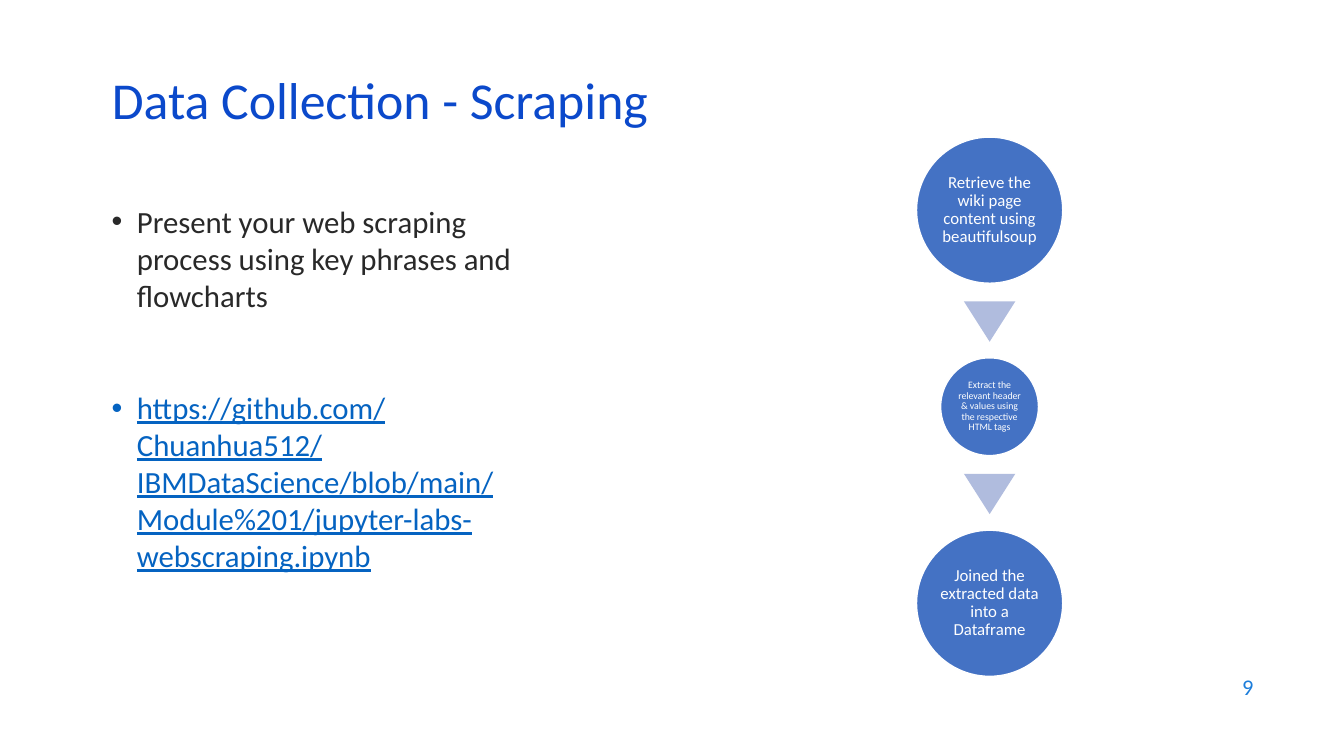
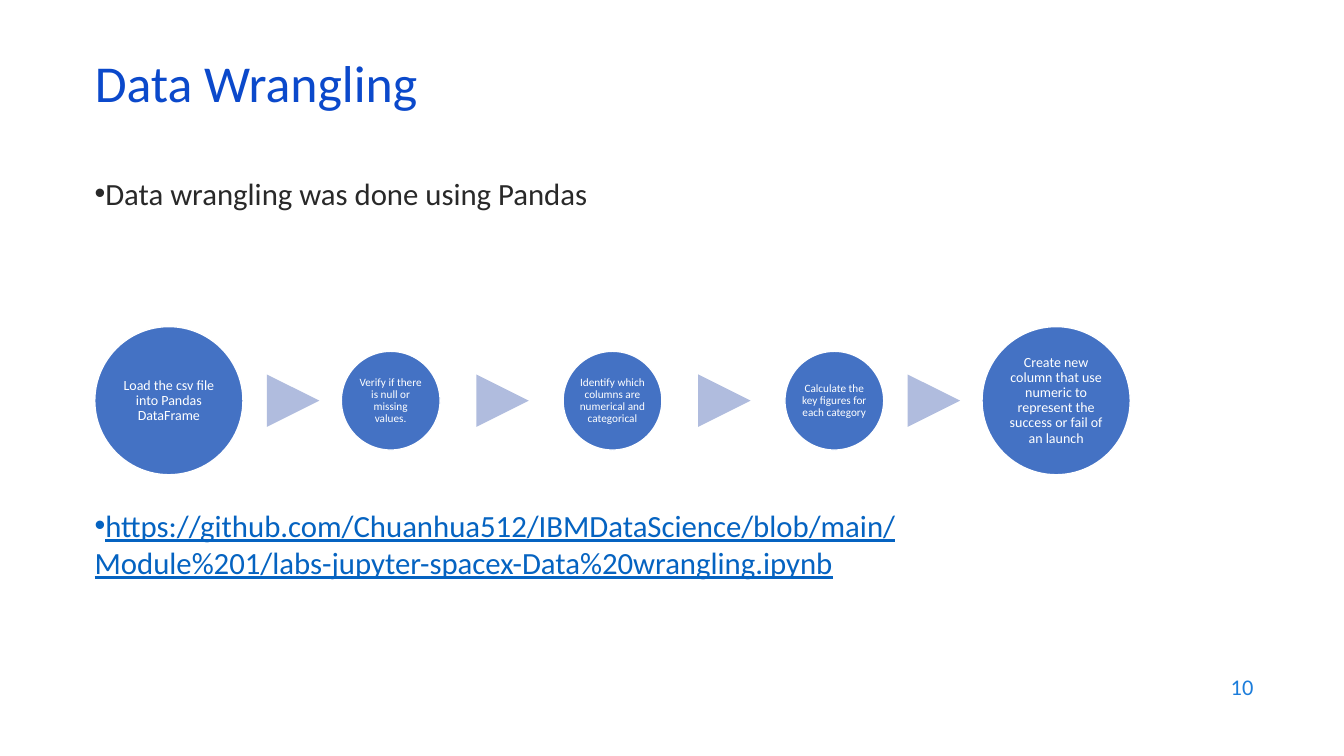
from collections import namedtuple

from lxml.etree import SubElement
from pptx import Presentation
from pptx.dml.color import RGBColor
from pptx.enum.shapes import MSO_SHAPE as Shape
from pptx.enum.text import MSO_ANCHOR as Anchor, MSO_AUTO_SIZE as AutoSize, PP_ALIGN as Align
from pptx.oxml.ns import qn
from pptx.util import Inches, Pt

Box = namedtuple("Box", "left top width height")
Flow = namedtuple("Flow", "horizontal large small arrow_base arrow_depth large_size small_size inset")

COLORS = {
    "title": "0B49CB",
    "body": "292929",
    "link": "0563C1",
    "number": "1C7DDB",
    "circle": "4472C4",
    "arrow": "B0BCDE",
    "white": "FFFFFF",
}
FONTS = {
    "title": {"name": "Calibri", "size": Pt(37), "bold": False},
    "body": {"name": "Calibri", "size": Pt(22)},
    "link": {"name": "Calibri", "size": Pt(22), "underline": True},
    "number": {"name": "Calibri", "size": Pt(16)},
}
NUMBER_BOX = Box(9.53, 6.59, 3, 0.44)
TITLE_SIZE = (11.5, 0.6)

DOWN_FLOW = Flow(False, 1.45, 0.97, 0.51, 0.4, 12, 7, 0.02)
RIGHT_FLOW = Flow(True, 1.47, 0.98, 0.52, 0.52, 10, 8, 0.01)


def color(name):
    return RGBColor.from_string(COLORS[name])


def set_attributes(target, formats):
    for name, value in formats.items():
        setattr(target, name, value)


def set_font(font, role):
    set_attributes(font, FONTS[role])
    font.color.rgb = color(role)


def place(shape, box):
    set_attributes(shape, {name: Inches(value) for name, value in box._asdict().items()})


def add_text_box(slide, box):
    shape = slide.shapes.add_textbox(*map(Inches, box))
    shape.text_frame.word_wrap = True
    return shape.text_frame


def add_title(slide, left, top, text):
    title = slide.shapes.title
    place(title, Box(left, top, *TITLE_SIZE))
    frame = title.text_frame
    frame.text = text
    set_attributes(frame, {"vertical_anchor": Anchor.MIDDLE, "auto_size": AutoSize.NONE, "word_wrap": True})
    paragraph = frame.paragraphs[0]
    set_attributes(paragraph, {"alignment": Align.LEFT, "line_spacing": 0.7})
    set_font(paragraph.runs[0].font, "title")


def add_number(slide, number):
    frame = add_text_box(slide, NUMBER_BOX)
    frame.vertical_anchor = Anchor.MIDDLE
    paragraph = frame.paragraphs[0]
    paragraph.alignment = Align.RIGHT
    run = paragraph.add_run()
    run.text = str(number)
    set_font(run.font, "number")


def add_bullets(slide, box, statement, link, gap, hanging):
    frame = add_text_box(slide, box)
    for index, (text, role) in enumerate([(statement, "body"), (link, "link")]):
        paragraph = frame.add_paragraph() if index else frame.paragraphs[0]
        properties = paragraph._p.get_or_add_pPr()
        properties.set("marL", str(Inches(hanging)))
        properties.set("indent", str(Inches(-hanging)))
        SubElement(properties, qn("a:buFont")).set("typeface", "Arial")
        SubElement(properties, qn("a:buChar")).set("char", "•")
        if index:
            paragraph.space_before = Pt(gap)
        run = paragraph.add_run()
        run.text = text
        set_font(run.font, role)


def add_filled_shape(slide, kind, center, width, height, fill):
    x, y = center
    shape = slide.shapes.add_shape(
        kind, *map(Inches, (x - width / 2, y - height / 2, width, height))
    )
    shape.shadow.inherit = False
    shape.fill.solid()
    shape.fill.fore_color.rgb = color(fill)
    return shape


def add_step(slide, center, diameter, text, size, inset):
    circle = add_filled_shape(slide, Shape.OVAL, center, diameter, diameter, "circle")
    circle.line.color.rgb = color("white")
    circle.line.width = Pt(1)
    frame = circle.text_frame
    set_attributes(frame, {"word_wrap": True, "vertical_anchor": Anchor.MIDDLE})
    sides = ("left", "top", "right", "bottom")
    set_attributes(frame, {f"margin_{side}": Inches(inset) for side in sides})
    paragraph = frame.paragraphs[0]
    set_attributes(paragraph, {"alignment": Align.CENTER, "line_spacing": 0.9})
    run = paragraph.add_run()
    run.text = text
    set_attributes(run.font, {"name": "Calibri", "size": Pt(size)})
    run.font.color.rgb = color("white")


def add_arrow(slide, center, flow):
    arrow = add_filled_shape(
        slide, Shape.ISOSCELES_TRIANGLE, center, flow.arrow_base, flow.arrow_depth, "arrow"
    )
    arrow.rotation = 90 if flow.horizontal else 180
    arrow.line.fill.background()


def add_flow(slide, box, steps, flow):
    length = box.width if flow.horizontal else box.height
    last = len(steps) - 1
    pitch = (length - flow.large) / last

    def point(offset):
        if flow.horizontal:
            return box.left + offset, box.top + box.height / 2
        return box.left + box.width / 2, box.top + offset

    previous_end = None
    for index, text in enumerate(steps):
        at_end = index in (0, last)
        diameter = flow.large if at_end else flow.small
        offset = flow.large / 2 + index * pitch
        if previous_end is not None:
            add_arrow(slide, point((previous_end + offset - diameter / 2) / 2 + 0.01), flow)
        size = flow.large_size if at_end else flow.small_size
        add_step(slide, point(offset), diameter, text, size, flow.inset)
        previous_end = offset + diameter / 2


def add_slide(presentation, number):
    slide = presentation.slides.add_slide(presentation.slide_layouts[5])
    add_number(slide, number)
    return slide


def build_scraping(presentation):
    slide = add_slide(presentation, 9)
    add_bullets(
        slide,
        Box(1.01, 1.96, 4.3, 4.17),
        "Present your web scraping process using key phrases and flowcharts",
        "https://github.com/Chuanhua512/IBMDataScience/blob/main/Module%201/jupyter-labs-webscraping.ipynb",
        gap=54,
        hanging=0.25,
    )
    add_title(slide, 1.01, 0.76, "Data Collection - Scraping")
    steps = [
        "Retrieve the wiki page content using beautifulsoup",
        "Extract the relevant header & values using the respective HTML tags",
        "Joined the extracted data into a Dataframe",
    ]
    add_flow(slide, Box(9.09, 1.36, 1.45, 5.35), steps, DOWN_FLOW)


def build_wrangling(presentation):
    slide = add_slide(presentation, 10)
    add_bullets(
        slide,
        Box(0.84, 1.68, 9.82, 4.76),
        "Data wrangling was done using Pandas",
        "https://github.com/Chuanhua512/IBMDataScience/blob/main/Module%201/labs-jupyter-spacex-Data%20wrangling.ipynb",
        gap=211,
        hanging=0,
    )
    add_title(slide, 0.84, 0.59, "Data Wrangling")
    steps = [
        "Load the csv file into Pandas DataFrame",
        "Verify if there is null or missing values.",
        "Identify which columns are numerical and categorical",
        "Calculate the key figures for each category",
        "Create new column that use numeric to represent the success or fail of an launch",
    ]
    add_flow(slide, Box(0.94, 3.24, 10.27, 1.47), steps, RIGHT_FLOW)


def main():
    presentation = Presentation()
    presentation.slide_width = Inches(13.33)
    presentation.slide_height = Inches(7.5)
    build_scraping(presentation)
    build_wrangling(presentation)
    presentation.save("out.pptx")


if __name__ == "__main__":
    main()
